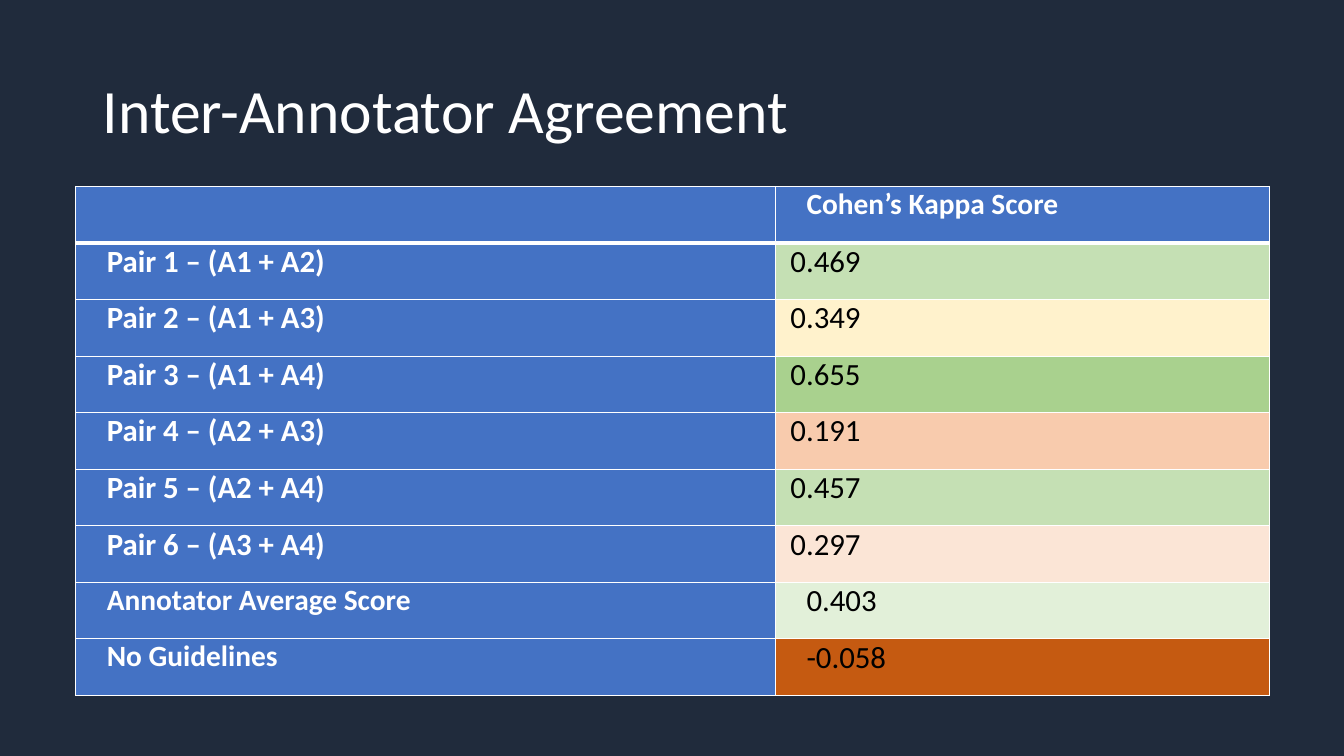
from lxml import etree
from pptx import Presentation
from pptx.dml.color import RGBColor
from pptx.enum.text import MSO_ANCHOR, PP_ALIGN
from pptx.oxml.ns import qn
from pptx.util import Pt

PX = 9144  # EMU, 100 px to the inch
FONT = "Calibri"
MIDDLE = MSO_ANCHOR.MIDDLE
LEFT, JUSTIFY = PP_ALIGN.LEFT, PP_ALIGN.JUSTIFY
TITLE_ONLY = 5

NAVY = RGBColor(0x20, 0x2B, 0x3C)
WHITE = RGBColor(0xFF, 0xFF, 0xFF)
BLACK = RGBColor(0x00, 0x00, 0x00)
BLUE = RGBColor(0x44, 0x72, 0xC4)
GREEN = RGBColor(0xA9, 0xD1, 0x8E)
LIGHT_GREEN = RGBColor(0xC5, 0xE0, 0xB4)
PALE_GREEN = RGBColor(0xE2, 0xF0, 0xD9)
PALE_YELLOW = RGBColor(0xFF, 0xF2, 0xCC)
LIGHT_ORANGE = RGBColor(0xF8, 0xCB, 0xAD)
PALE_ORANGE = RGBColor(0xFB, 0xE5, 0xD6)
DARK_ORANGE = RGBColor(0xC5, 0x5A, 0x11)

HEADER = "Cohen’s Kappa Score"
PAIR_SCORES = [
    ("Pair 1 – (A1 + A2)", "0.469", LIGHT_GREEN),
    ("Pair 2 – (A1 + A3)", "0.349", PALE_YELLOW),
    ("Pair 3 – (A1 + A4)", "0.655", GREEN),
    ("Pair 4 – (A2 + A3)", "0.191", LIGHT_ORANGE),
    ("Pair 5 – (A2 + A4)", "0.457", LIGHT_GREEN),
    ("Pair 6 – (A3 + A4)", "0.297", PALE_ORANGE),
]
SUMMARY_SCORES = [
    ("Annotator Average Score", "0.403", PALE_GREEN),
    ("No Guidelines", "-0.058", DARK_ORANGE),
]
COLUMN_WIDTHS = (694, 490)
CELL_MARGIN = 15
FIRST_LINE_INDENT = 16


def place(shape, left, top, width, height):
    shape.left, shape.top = left * PX, top * PX
    shape.width, shape.height = width * PX, height * PX


def format_font(font, size, color, bold=False):
    font.name = FONT
    font.size = Pt(size)
    font.bold = bold
    font.color.rgb = color


def add_title(slide, text):
    title = slide.shapes.title
    place(title, 92, 40, 1184, 145)
    title.text_frame.vertical_anchor = MIDDLE
    paragraph = title.text_frame.paragraphs[0]
    paragraph.text = text
    paragraph.alignment = LEFT
    paragraph.line_spacing = 0.9
    format_font(paragraph.font, 44, WHITE)


def set_borders(cell, bottom):
    """Draw white lines of 1 pt, with the bottom one as thick as given."""
    properties = cell._tc.get_or_add_tcPr()
    for side, width in (("L", 1), ("R", 1), ("T", 1), ("B", bottom)):
        line = etree.SubElement(properties, qn(f"a:ln{side}"), w=str(Pt(width)))
        fill = etree.SubElement(line, qn("a:solidFill"))
        etree.SubElement(fill, qn("a:srgbClr"), val=str(WHITE))


def style_cell(cell, fill, bottom=1):
    set_borders(cell, bottom)
    cell.fill.solid()
    cell.fill.fore_color.rgb = fill
    cell.margin_left = cell.margin_right = CELL_MARGIN * PX
    cell.margin_top = cell.margin_bottom = 0


def write_cell(cell, text, size, color, bold=False, alignment=LEFT, indented=True):
    paragraph = cell.text_frame.paragraphs[0]
    paragraph.text = text
    paragraph.alignment = alignment
    format_font(paragraph.font, size, color, bold)
    if indented:
        properties = paragraph._p.get_or_add_pPr()
        properties.set("marL", "0")
        properties.set("indent", str(FIRST_LINE_INDENT * PX))


def add_score_table(slide):
    scores = PAIR_SCORES + SUMMARY_SCORES
    frame = slide.shapes.add_table(
        len(scores) + 1, len(COLUMN_WIDTHS),
        75 * PX, 185 * PX, sum(COLUMN_WIDTHS) * PX, 505 * PX)
    table = frame.table
    table.horz_banding = False
    table.first_col = True
    for column, width in zip(table.columns, COLUMN_WIDTHS):
        column.width = width * PX

    for cell in table.rows[0].cells:
        style_cell(cell, BLUE, bottom=3)
    write_cell(table.cell(0, 1), HEADER, 21, WHITE, bold=True)

    for row, (label, score, color) in enumerate(scores, start=1):
        is_summary = row > len(PAIR_SCORES)
        label_cell, score_cell = table.rows[row].cells
        style_cell(label_cell, BLUE)
        write_cell(label_cell, label, 21 if is_summary else 22, WHITE,
                   bold=True, alignment=JUSTIFY)
        style_cell(score_cell, color)
        write_cell(score_cell, score, 22, BLACK,
                   alignment=JUSTIFY if is_summary else LEFT, indented=is_summary)


def main():
    presentation = Presentation()
    presentation.slide_width = 1333 * PX
    presentation.slide_height = 750 * PX
    slide = presentation.slides.add_slide(presentation.slide_layouts[TITLE_ONLY])
    slide.background.fill.solid()
    slide.background.fill.fore_color.rgb = NAVY
    add_title(slide, "Inter-Annotator Agreement")
    add_score_table(slide)
    presentation.save("out.pptx")


if __name__ == "__main__":
    main()
